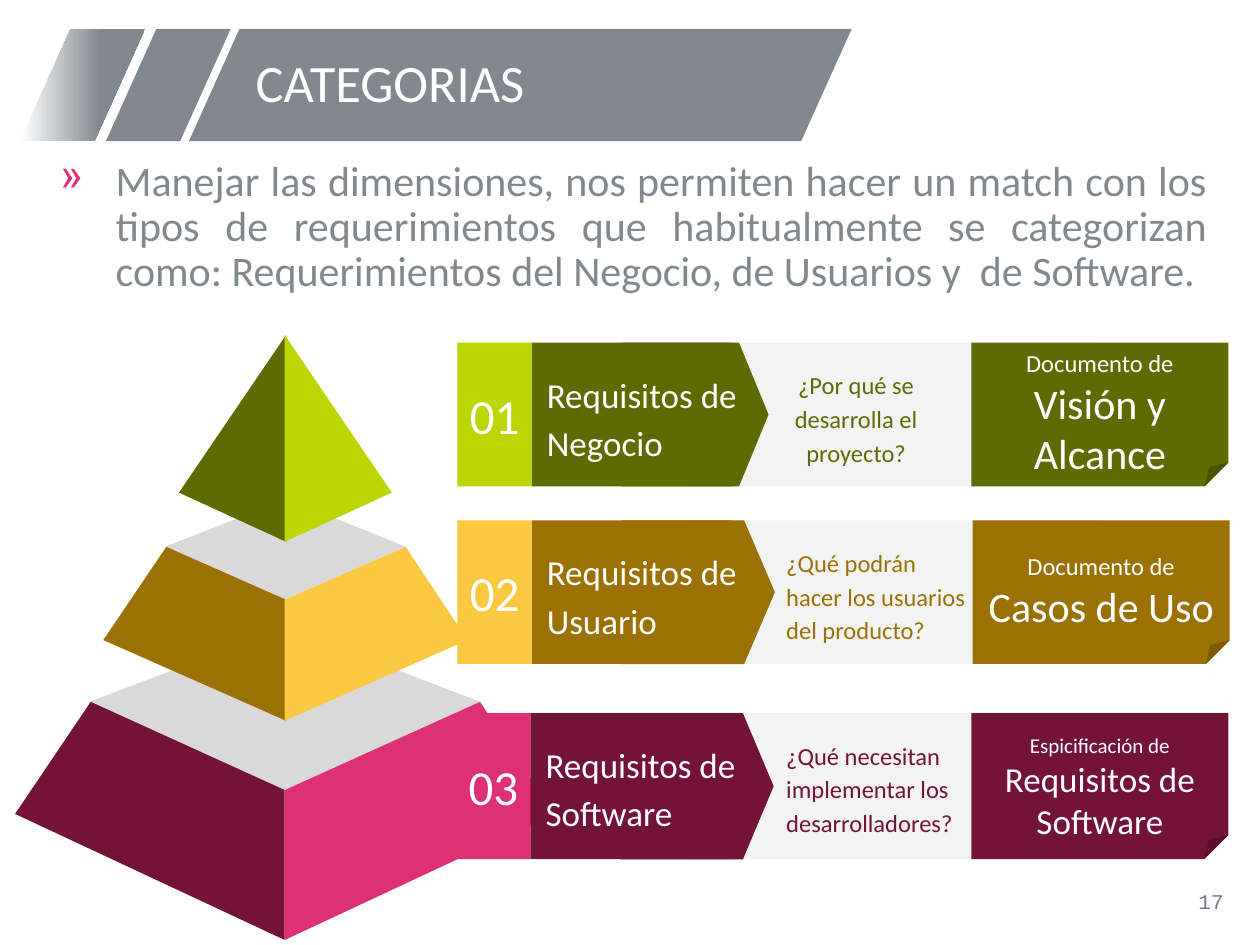
from lxml import etree
from pptx import Presentation, util as u
from pptx.dml.color import RGBColor
from pptx.enum import shapes as sh, text as tx
from pptx.oxml.ns import qn

In = u.Inches
GREY, WHITE, PINK = "81888F", "FFFFFF", "DE3075"
LEFT, MID, RIGHT = tx.PP_ALIGN.LEFT, tx.PP_ALIGN.CENTER, tx.PP_ALIGN.RIGHT
FORM = sh.MSO_SHAPE


def paint(shape, color):
    shape.shadow.inherit = False
    shape.fill.solid()
    shape.fill.fore_color.rgb = RGBColor.from_string(color)
    shape.line.fill.background()
    return shape


def write(shape, lines, color, align=LEFT, space=1, inset=(0.07,) * 4,
          anchor=tx.MSO_ANCHOR.MIDDLE, face="Calibri"):
    """Fill a shape with one paragraph; lines are (words, size) pairs."""
    frame = shape.text_frame
    frame.word_wrap = True
    frame.vertical_anchor = anchor
    (frame.margin_left, frame.margin_top,
     frame.margin_right, frame.margin_bottom) = map(In, inset)
    para = frame.paragraphs[0]
    para.alignment, para.line_spacing = align, space
    para.font.name = face
    para.font.color.rgb = RGBColor.from_string(color)
    for i, (words, size) in enumerate(lines):
        if i:
            para.add_line_break()
        run = para.add_run()
        run.text = words
        if len(lines) == 1:
            para.font.size = u.Pt(size)
        else:
            run.font.size = u.Pt(size)
    return para


deck = Presentation()
deck.slide_width, deck.slide_height = In(10), In(7.5)
slide = deck.slides.add_slide(deck.slide_layouts[6])
parts = slide.shapes

# Title banner
for x, wide in ((1.5, 5.26), (0.84, 0.99), (0.16, 0.99)):
    band = paint(parts.add_shape(FORM.PARALLELOGRAM, In(x), In(0.23),
                                 In(wide), In(0.89)), GREY)
    band.adjustments[0] = 0.45
band.fill.gradient()
band.fill.gradient_angle = 0
for stop, color, pos in zip(band.fill.gradient_stops, (WHITE, GREY), (0, 0.65)):
    stop.color.rgb = RGBColor.from_string(color)
    stop.position = pos

pad = (0.1, 0.05, 0.1, 0.05)
title = parts.add_textbox(In(1.93), In(0.23), In(4.69), In(0.89))
write(title, [("CATEGORIAS", 30)], WHITE, space=0.9, inset=pad)

# Slide number
num = parts.add_textbox(In(7.56), In(6.95), In(2.25), In(0.4))
write(num, [("17", 12)], "6C7A8A", RIGHT, inset=pad, face="Courier New")

# Pyramid, from the bottom layer up
faces = (
    ("D9D9D9", [(0.71, 5.57), (2.26, 6.27), (3.81, 5.57), (2.27, 4.98)]),
    ("741339", [(0.72, 5.57), (0.12, 6.46), (2.26, 7.46), (2.26, 6.27)]),
    (PINK, [(3.81, 5.57), (4.4, 6.46), (2.26, 7.46), (2.26, 6.27)]),
    ("D9D9D9", [(1.31, 4.34), (2.26, 4.76), (3.22, 4.34), (2.28, 3.96)]),
    ("9B7103", [(1.32, 4.34), (2.27, 4.76), (2.27, 5.72), (0.82, 5.08)]),
    ("FBC842", [(3.22, 4.34), (2.26, 4.76), (2.26, 5.72), (3.71, 5.08)]),
    ("5F6A01", [(2.27, 2.66), (1.42, 3.91), (2.27, 4.3)]),
    ("BDD503", [(2.26, 2.66), (3.11, 3.91), (2.26, 4.3)]),
)
stack = parts.add_group_shape().shapes
for color, pts in faces:
    pts = [(In(x), In(y)) for x, y in pts]
    pen = stack.build_freeform(*pts[0])
    pen.add_line_segments(pts[1:], close=True)
    paint(pen.convert_to_shape(), color)

# Introduction with its bullet
intro = parts.add_textbox(In(0.32), In(1.22), In(9.36), In(1.44))
para = write(intro, [(
    "Manejar las dimensiones, nos permiten hacer un match con los tipos de "
    "requerimientos que habitualmente se categorizan como: Requerimientos "
    "del Negocio, de Usuarios y  de Software.", 24)], "818990",
    tx.PP_ALIGN.JUSTIFY, 0.9, pad, tx.MSO_ANCHOR.TOP)
props = para._p.get_or_add_pPr()
props.set("marL", str(In(0.5)))
props.set("indent", str(In(-0.44)))
tint = etree.Element(qn("a:buClr"))
etree.SubElement(tint, qn("a:srgbClr")).set("val", PINK)
mark = etree.Element(qn("a:buChar"))
mark.set("char", "»")
spot = props.index(props.find(qn("a:defRPr")))
props.insert(spot, tint)
props.insert(spot + 1, mark)

# Rows: left, top, height, dark, light, arrow tip, name,
# question (left, width, align, words), document left, top inset, lines
rows = (
    (3.63, 2.72, 1.14, "5F6A01", "BDD503", 6.1, "Requisitos de Negocio",
     (5.72, 2, MID, "¿Por qué se desarrolla el proyecto?"),
     7.71, 0.24, [("Documento de", 14), ("Visión y Alcance", 24)]),
    (3.63, 4.13, 1.14, "9B7103", "FBC842", 6.15, "Requisitos de Usuario",
     (6.02, 1.74, LEFT, "¿Qué podrán hacer los usuarios del producto?"),
     7.72, 0.24, [("Documento de", 14), ("Casos de Uso", 24)]),
    (3.62, 5.66, 1.16, "741339", PINK, 6.14, "Requisitos de Software",
     (6.02, 1.67, LEFT, "¿Qué necesitan implementar los desarrolladores?"),
     7.71, 0.28, [("Espicificación de", 12), ("Requisitos de Software", 20)]),
)
for n, (x, y, tall, dark, light, tip, name, ask, edge, top, lines) in enumerate(rows, 1):
    row = parts.add_group_shape().shapes
    for left, wide, color in ((x + 1.83, 3.29, "F3F3F3"), (x + 0.59, 1.59, dark)):
        paint(row.add_shape(FORM.RECTANGLE, In(left), In(y), In(wide), In(tall)), color)

    # Arrow: turned a quarter, so its frame is set about the centre
    long = 1.17 if n == 1 else 1.22
    arrow = paint(row.add_shape(FORM.FLOWCHART_OFFPAGE_CONNECTOR,
                                In(tip - (long + tall) / 2), In(y + (tall - long) / 2),
                                In(tall), In(long)), dark)
    arrow.rotation = 270

    label = row.add_textbox(In(x + 0.64), In(y + 0.01), In(1.67), In(1.13))
    write(label, [(name, 20)], WHITE, space=1.15)

    badge = paint(row.add_shape(FORM.RECTANGLE, In(x), In(y), In(0.59), In(tall)), light)
    write(badge, [(f"{n:02}", 28)], WHITE, MID)

    left, wide, align, words = ask
    query = row.add_textbox(In(left), In(y + 0.02), In(wide), In(1.13))
    para = write(query, [(words, 14)], dark, align, 1.15)
    para._p.get_or_add_pPr().set("marL", str(In(0.15)))

    note = paint(row.add_shape(FORM.FOLDED_CORNER, In(edge), In(y), In(2.04), In(tall)), dark)
    write(note, lines, WHITE, MID, inset=(0.07, top, 0.07, 0.07))

deck.save("out.pptx")
